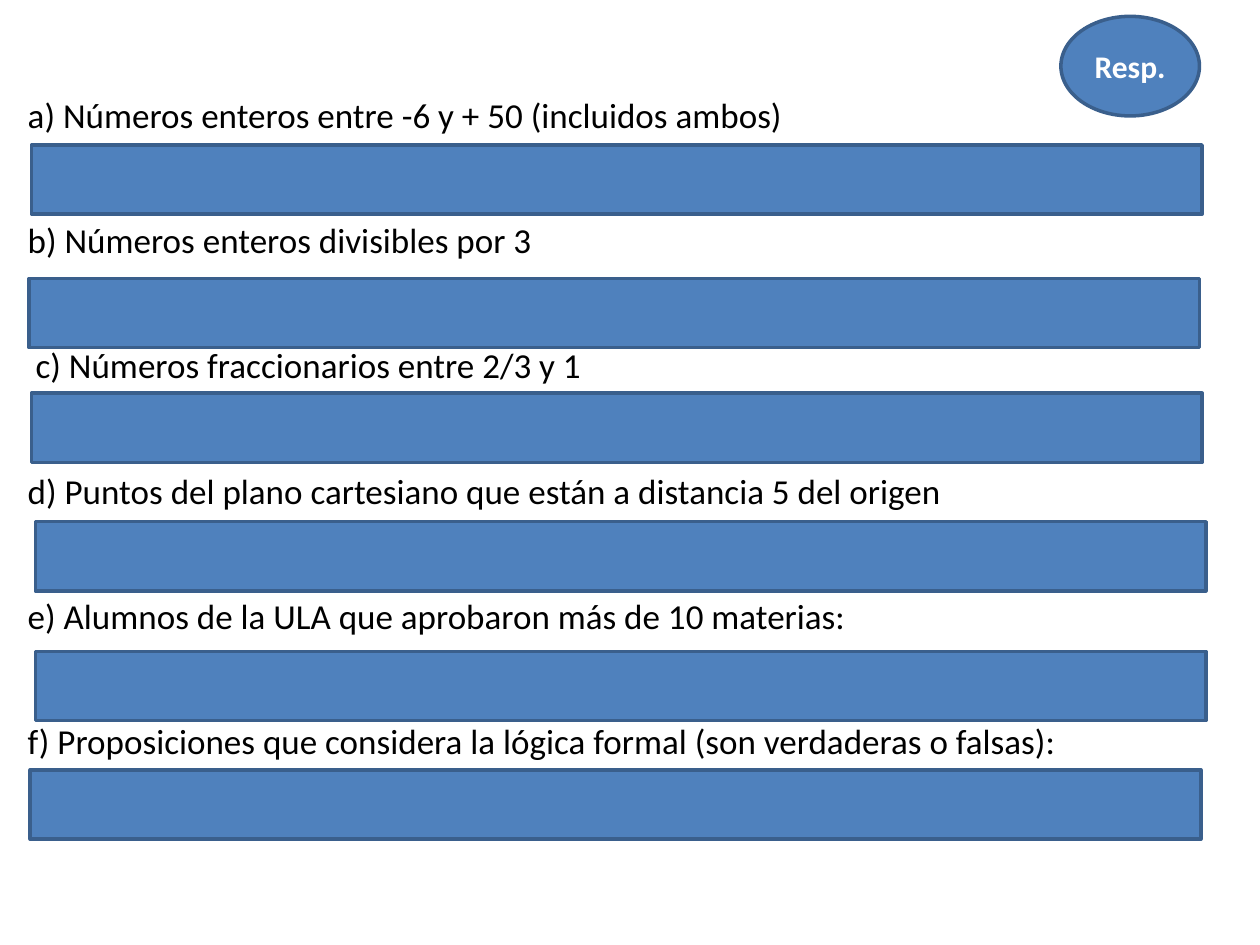
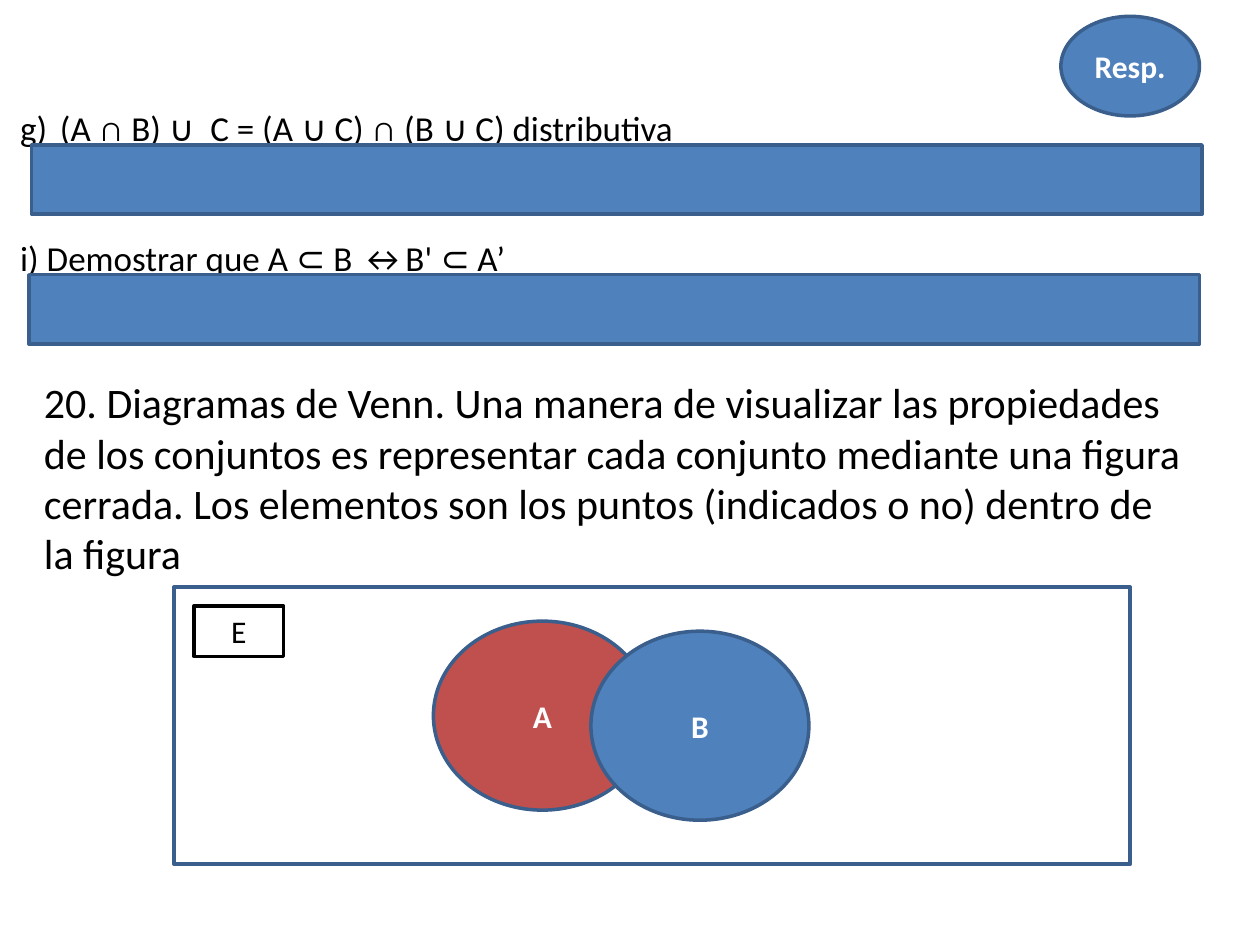
from pptx import Presentation
from pptx.dml.color import RGBColor
from pptx.enum.shapes import MSO_SHAPE
from pptx.enum.text import MSO_ANCHOR, MSO_AUTO_SIZE, PP_ALIGN
from pptx.util import Inches, Pt

RECTANGLE, ELLIPSE = MSO_SHAPE.RECTANGLE, MSO_SHAPE.OVAL
LEFT, CENTER = PP_ALIGN.LEFT, PP_ALIGN.CENTER
TOP, MIDDLE = MSO_ANCHOR.TOP, MSO_ANCHOR.MIDDLE
NO_AUTOFIT = MSO_AUTO_SIZE.NONE

FONT = "Calibri"
BLUE, DARK_BLUE, RED = "4F81BD", "3A5F8C", "C0504D"
WHITE, BLACK = "FFFFFF", "000000"
BAR_SIZE = (9.29, 0.55)
SET_SIZE = (1.73, 1.5)
BADGE_BOX = (8.42, 0.13, 1.1, 0.79)
QUESTION_GAP = 47.6  # points left for the answer bar

# Each question is a list of (text, size) runs; each bar is (left, top).
EXERCISES = [
    {
        "box": (0.12, 0.21, 9.69, 6.93),
        "inset": 0.53,
        "questions": [
            [("a) Números enteros entre -6 y + 50 (incluidos ambos)", 20)],
            [("b) Números enteros divisibles por 3", 20)],
            [("\u00a0c) Números fraccionarios entre 2/3 y 1", 20)],
            [("d) Puntos del plano cartesiano que están a distancia 5 del origen", 20)],
            [("e) Alumnos de la ULA que aprobaron más de 10 materias:", 20)],
            [("f) Proposiciones que considera la lógica formal "
              "(son verdaderas o falsas):", 20)],
        ],
        "bars": [(0.25, 1.15), (0.23, 2.21), (0.25, 3.12),
                 (0.28, 4.14), (0.28, 5.17), (0.24, 6.11)],
    },
    {
        "box": (0.06, 0.32, 9.69, 2.2),
        "inset": 0.36,
        "questions": [
            [("g)", 20), (" ", 32),
             ("(A ∩ B) ∪  C = (A ∪ C) ∩ (B ∪ C) distributiva", 20)],
            [("i) Demostrar que A ⊂ B  ↔B' ⊂ A’".replace("B  ↔", "B ↔"), 20)],
        ],
        "bars": [(0.25, 1.15), (0.23, 2.18)],
    },
]
EXERCISES[1]["questions"][1] = [("i) Demostrar que A ⊂ B ↔B' ⊂ A’", 20)]

VENN_TEXT = ("20. Diagramas de Venn. Una manera de visualizar las propiedades de los "
             "conjuntos es representar cada conjunto mediante una figura cerrada. Los "
             "elementos son los puntos (indicados o no) dentro de la figura")
VENN_TEXT_BOX = (0.25, 2.94, 9.29, 1.72)
UNIVERSE_BOX = (1.38, 4.66, 7.59, 2.2)
UNIVERSE_LABEL_BOX = (1.54, 4.81, 0.71, 0.4)
VENN_SETS = [("A", (3.44, 4.93), RED), ("B", (4.69, 5.01), BLUE)]


def color(value):
    """Turn a hex string into a colour."""
    return RGBColor.from_string(value)


def add_run(paragraph, text, size=18, text_color=BLACK, bold=False):
    """Append one formatted run to a paragraph."""
    run = paragraph.add_run()
    run.text = text
    run.font.name, run.font.size, run.font.bold = FONT, Pt(size), bold
    run.font.color.rgb = color(text_color)


def add_figure(slide, kind, box, fill=BLUE, line=DARK_BLUE, text="", **text_format):
    """Draw an outlined shape, with a centred label if text is given."""
    shape = slide.shapes.add_shape(kind, *map(Inches, box))
    shape.shadow.inherit = False
    shape.fill.solid()
    shape.fill.fore_color.rgb = color(fill)
    shape.line.color.rgb = color(line)
    shape.line.width = Pt(2)
    if text:
        shape.text_frame.vertical_anchor = MIDDLE
        paragraph = shape.text_frame.paragraphs[0]
        paragraph.alignment = CENTER
        add_run(paragraph, text, **text_format)


def fill_questions(title, box, inset, questions):
    """Place the title and write one paragraph per question."""
    title.left, title.top, title.width, title.height = map(Inches, box)
    frame = title.text_frame
    frame.auto_size, frame.vertical_anchor = NO_AUTOFIT, TOP
    frame.margin_top = Inches(inset)
    for index, runs in enumerate(questions):
        paragraph = frame.add_paragraph() if index else frame.paragraphs[0]
        paragraph.alignment = LEFT
        paragraph.space_before = Pt(0)
        paragraph.space_after = Pt(QUESTION_GAP)
        for text, size in runs:
            add_run(paragraph, text, size=size)


def add_exercise_slide(presentation, box, inset, questions, bars):
    """Add a slide of questions, answer bars and the answer badge."""
    slide = presentation.slides.add_slide(presentation.slide_layouts[0])
    subtitle = slide.placeholders[1].element
    subtitle.getparent().remove(subtitle)
    fill_questions(slide.shapes.title, box, inset, questions)
    for position in bars:
        add_figure(slide, RECTANGLE, position + BAR_SIZE)
    add_figure(slide, ELLIPSE, BADGE_BOX, text="Resp.", text_color=WHITE, bold=True)
    return slide


def add_venn_diagram(slide):
    """Add the explanation and the two sets inside their universe."""
    frame = slide.shapes.add_textbox(*map(Inches, VENN_TEXT_BOX)).text_frame
    frame.word_wrap = True
    add_run(frame.paragraphs[0], VENN_TEXT, size=24)
    add_figure(slide, RECTANGLE, UNIVERSE_BOX, fill=WHITE)
    for name, position, fill in VENN_SETS:
        add_figure(slide, ELLIPSE, position + SET_SIZE, fill=fill, text=name,
                   text_color=WHITE, bold=True)
    add_figure(slide, RECTANGLE, UNIVERSE_LABEL_BOX, fill=WHITE, line=BLACK, text="E")


presentation = Presentation()
presentation.slide_width, presentation.slide_height = Inches(10), Inches(7.5)
slides = [add_exercise_slide(presentation, **exercise) for exercise in EXERCISES]
add_venn_diagram(slides[-1])
presentation.save("out.pptx")
